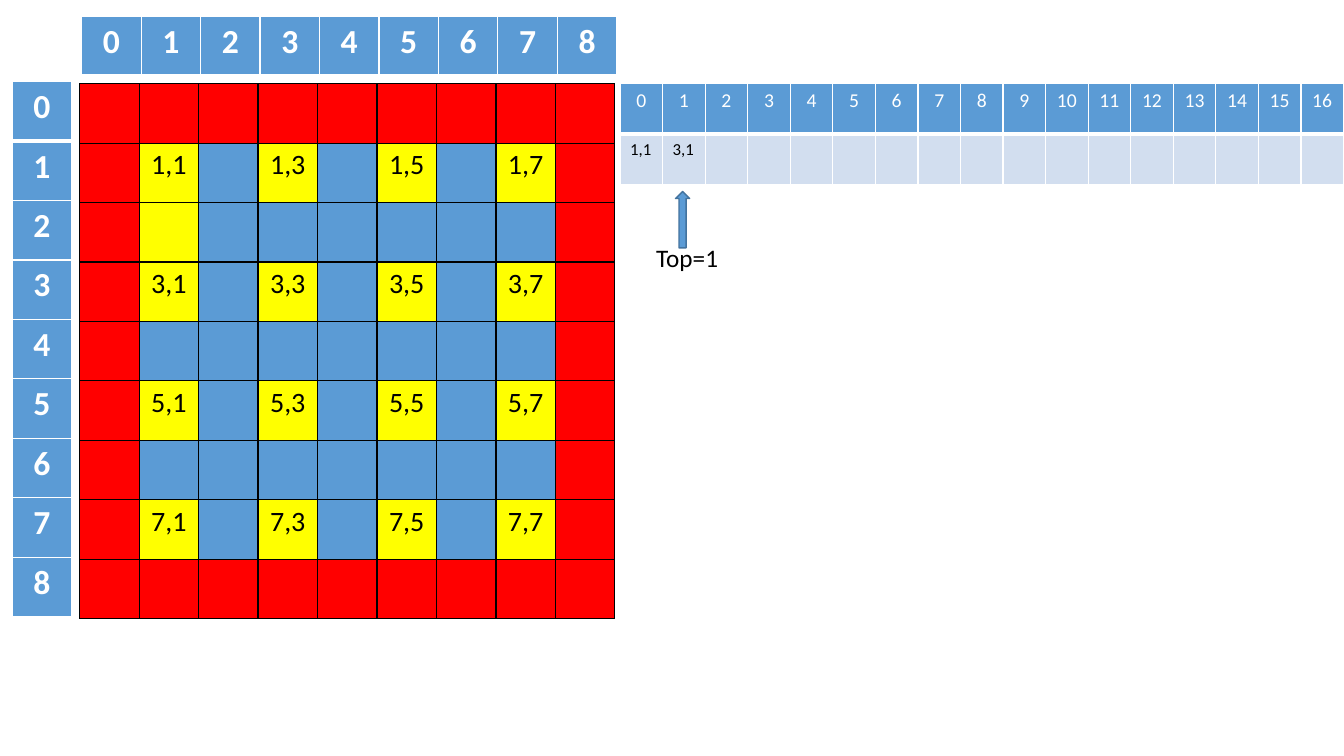
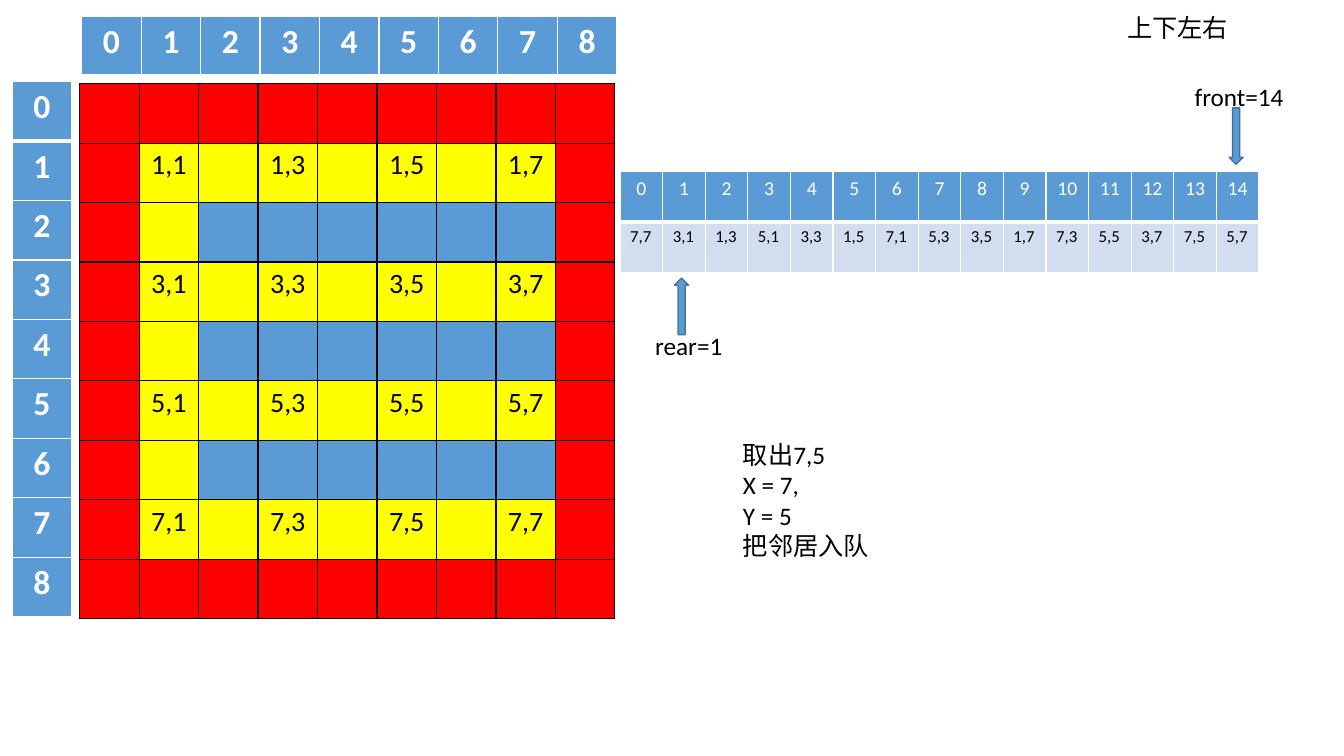
from itertools import product

from lxml.etree import SubElement
from pptx import Presentation
from pptx.dml.color import RGBColor
from pptx.enum.shapes import MSO_SHAPE as Shape
from pptx.enum.text import MSO_AUTO_SIZE as AutoSize, PP_ALIGN as Align
from pptx.oxml.ns import qn
from pptx.util import Inches, Pt

RED = RGBColor(0xFF, 0x00, 0x00)
YELLOW = RGBColor(0xFF, 0xFF, 0x00)
BLUE = RGBColor(0x5B, 0x9B, 0xD5)
PALE_BLUE = RGBColor(0xD2, 0xDE, 0xEF)
DARK_BLUE = RGBColor(0x43, 0x73, 0x9E)
BLACK = RGBColor(0x00, 0x00, 0x00)
WHITE = RGBColor(0xFF, 0xFF, 0xFF)

FONT = "Calibri"
ROOM_FONT = {"size": Pt(20), "color": BLACK}
AXIS_FONT = {"size": Pt(24), "color": WHITE, "bold": True}
INDEX_FONT = {"size": Pt(14), "color": WHITE, "bold": False}
ENTRY_FONT = {"size": Pt(12), "color": BLACK}
NOTE_FONT = {"size": Pt(18), "color": BLACK}

THIN, THICK = 1, 3
MAZE_SIZE = 9
MAZE_LENGTH = 5.31
CELL = MAZE_LENGTH / MAZE_SIZE
ROOMS = set(product(range(1, MAZE_SIZE, 2), repeat=2))

STEPS = [
    {
        "corridors": {(2, 1)},
        "list_box": (6.15, 0.83, 7.18, 1),
        "list_length": 17,
        "entries": ["1,1", "3,1"],
        "pointers": [
            {"label": "Top=1", "label_box": (6.41, 2.36, 0.82, 0.4), "arrow_at": (6.7, 1.9), "turn": 0},
        ],
        "notes": [],
    },
    {
        "corridors": set(product((1, 3, 5, 7), (2, 4, 6))) | {(2, 1), (4, 1), (6, 1)},
        "list_box": (6.15, 1.7, 6.34, 1),
        "list_length": 15,
        "entries": ["7,7", "3,1", "1,3", "5,1", "3,3", "1,5", "7,1", "5,3",
                    "3,5", "1,7", "7,3", "5,5", "3,7", "7,5", "5,7"],
        "pointers": [
            {"label": "front=14", "label_box": (11.75, 0.76, 1.09, 0.4), "arrow_at": (12.19, 1.07), "turn": 180},
            {"label": "rear=1", "label_box": (6.4, 3.23, 0.88, 0.4), "arrow_at": (6.69, 2.76), "turn": 0},
        ],
        "notes": [
            (["取出7,5", "X = 7,", "Y = 5", "把邻居入队"], (7.27, 4.31, 1.46, 1.31)),
            (["上下左右"], (11.08, 0.07, 1.21, 0.4)),
        ],
    },
]


def write(paragraph, text, style, align=Align.LEFT):
    paragraph.alignment = align
    run = paragraph.add_run()
    run.text = text
    run.font.name = FONT
    for name, value in style.items():
        if name == "color":
            run.font.color.rgb = value
        else:
            setattr(run.font, name, value)


def set_borders(cell, color, bottom):
    properties = cell._tc.get_or_add_tcPr()
    for side, points in {"L": THIN, "R": THIN, "T": THIN, "B": bottom}.items():
        edge = SubElement(properties, qn(f"a:ln{side}"), w=str(Pt(points)))
        fill = SubElement(edge, qn("a:solidFill"))
        SubElement(fill, qn("a:srgbClr"), val=str(color))


def add_grid(slide, box, row_count, column_count, describe, border=WHITE):
    table = slide.shapes.add_table(row_count, column_count, *map(Inches, box)).table
    table.first_row = table.horz_banding = False
    for column in table.columns:
        column.width = Inches(box[2] / column_count)
    for row in table.rows:
        row.height = Inches(box[3] / row_count)
    for row, column in product(range(row_count), range(column_count)):
        look = describe(row, column)
        cell = table.cell(row, column)
        set_borders(cell, border, look.get("bottom", THIN))
        cell.fill.solid()
        cell.fill.fore_color.rgb = look["fill"]
        if look.get("text"):
            write(cell.text_frame.paragraphs[0], look["text"], look["font"], look.get("align", Align.CENTER))


def add_maze(slide, corridors):
    def maze_cell(row, column):
        if {row, column} & {0, MAZE_SIZE - 1}:
            return {"fill": RED}
        if (row, column) in ROOMS:
            return {"fill": YELLOW, "text": f"{row},{column}", "font": ROOM_FONT}
        return {"fill": YELLOW if (row, column) in corridors else BLUE}

    def axis_cell(row, column):
        return {"fill": BLUE, "text": str(row + column), "font": AXIS_FONT,
                "bottom": THICK if row == 0 else THIN}

    add_grid(slide, (0.79, 0.83, MAZE_LENGTH, MAZE_LENGTH), MAZE_SIZE, MAZE_SIZE, maze_cell, BLACK)
    add_grid(slide, (0.81, 0.16, MAZE_LENGTH, CELL), 1, MAZE_SIZE, axis_cell)
    add_grid(slide, (0.12, 0.81, CELL, MAZE_LENGTH), MAZE_SIZE, 1, axis_cell)


def add_list(slide, box, length, entries):
    def list_cell(row, column):
        if row == 0:
            return {"fill": BLUE, "text": str(column), "font": INDEX_FONT, "bottom": THICK}
        entry = entries[column] if column < len(entries) else ""
        return {"fill": PALE_BLUE, "text": entry, "font": ENTRY_FONT, "align": Align.LEFT}

    add_grid(slide, box, 2, length, list_cell)


def add_note(shapes, lines, box):
    frame = shapes.add_textbox(*map(Inches, box)).text_frame
    frame.word_wrap = False
    frame.auto_size = AutoSize.SHAPE_TO_FIT_TEXT
    for index, line in enumerate(lines):
        write(frame.add_paragraph() if index else frame.paragraphs[0], line, NOTE_FONT)


def add_pointer(slide, label, label_box, arrow_at, turn):
    group = slide.shapes.add_group_shape()
    arrow = group.shapes.add_shape(Shape.UP_ARROW, *map(Inches, (*arrow_at, 0.14, 0.56)))
    arrow.rotation = turn
    arrow.shadow.inherit = False
    arrow.fill.solid()
    arrow.fill.fore_color.rgb = BLUE
    arrow.line.color.rgb = DARK_BLUE
    arrow.line.width = Pt(1)
    add_note(group.shapes, [label], label_box)


def main():
    deck = Presentation()
    deck.slide_width, deck.slide_height = Inches(13.33), Inches(7.5)
    blank = deck.slide_layouts[6]
    for step in STEPS:
        slide = deck.slides.add_slide(blank)
        add_maze(slide, step["corridors"])
        add_list(slide, step["list_box"], step["list_length"], step["entries"])
        for pointer in step["pointers"]:
            add_pointer(slide, **pointer)
        for lines, box in step["notes"]:
            add_note(slide.shapes, lines, box)
    deck.save("out.pptx")


if __name__ == "__main__":
    main()
